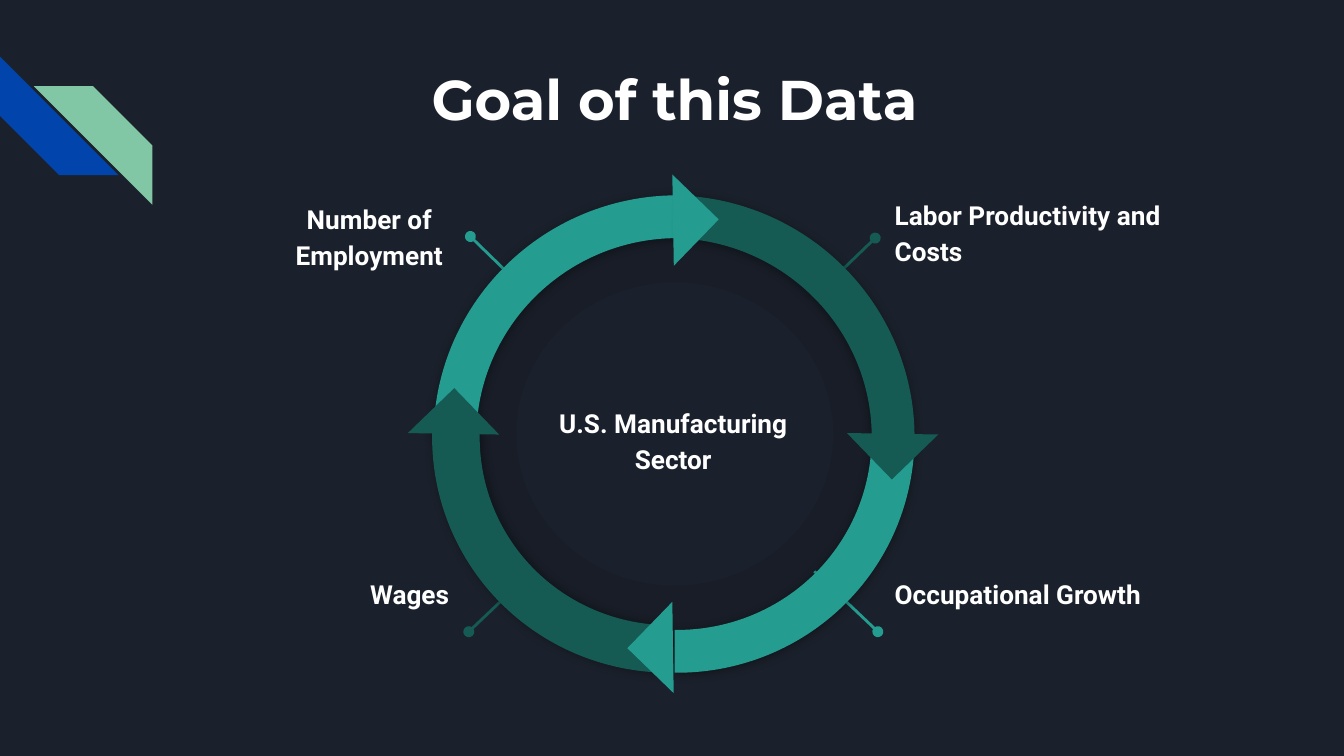
from dataclasses import dataclass
from typing import Any

import pptx
import pptx.dml.color
import pptx.enum.shapes
import pptx.enum.text
import pptx.oxml
import pptx.oxml.ns
import pptx.util

Cm = pptx.util.Cm
Pt = pptx.util.Pt
SHAPE = pptx.enum.shapes.MSO_SHAPE
ALIGN = pptx.enum.text.PP_ALIGN
ANCHOR = pptx.enum.text.MSO_ANCHOR
Box = tuple[float, float, float, float]
Point = tuple[float, float]


@dataclass(frozen=True)
class Theme:
    background: str = "1B212C"
    white: str = "FFFFFF"
    blue: str = "0145AC"
    mint: str = "82C7A5"
    light_teal: str = "249C90"
    dark_teal: str = "155B54"
    black: str = "000000"
    title_font: str = "Montserrat"
    body_font: str = "Roboto"
    title_size: int = 30
    body_size: int = 14


@dataclass(frozen=True)
class Callout:
    text: str
    box: Box
    align: Any
    dot: Point
    ring_end: Point
    color: str


@dataclass(frozen=True)
class Arc:
    left: float
    rotation: float
    start: float  # degrees
    end: float  # degrees
    thickness: float
    color: str
    flipped: bool = False
    shadow_angle: int = 90


@dataclass(frozen=True)
class Arrowhead:
    side: Point  # direction from the cycle's centre
    rotation: float
    color: str


THEME = Theme()
CYCLE_CENTER = (12.72, 8.2)
CYCLE_RADII = (4.15, 4.04)
ARROWHEAD_SIZE = 1.22
ARC_TOP, ARC_WIDTH, ARC_HEIGHT = 3.71, 9.12, 8.99

CALLOUTS = [
    Callout("Number of Employment", (4.34, 3.51, 5.28, 2.67), ALIGN.CENTER,
            (8.89, 4.47), (10.06, 5.61), THEME.light_teal),
    Callout("Wages", (1.32, 10.59, 7.42, 2.21), ALIGN.RIGHT,
            (8.86, 11.94), (10.06, 10.8), THEME.dark_teal),
    Callout("Occupational Growth", (16.66, 10.59, 8.05, 2.21), ALIGN.LEFT,
            (16.59, 11.94), (15.39, 10.8), THEME.light_teal),
    Callout("Labor Productivity and Costs", (16.66, 3.43, 5.94, 2.21), ALIGN.LEFT,
            (16.54, 4.5), (15.39, 5.61), THEME.dark_teal),
]
ARCS = [
    Arc(8.18, 330.7, 239.14, 331.21, 0.09, THEME.light_teal, flipped=True),
    Arc(8.18, 29.3, 242.43, 331.7, 0.09, THEME.dark_teal),
    Arc(8.15, 150.7, 300.7, 29.98, 0.1, THEME.dark_teal, shadow_angle=0),
    Arc(8.18, 209.3, 299.45, 25.49, 0.09, THEME.light_teal, flipped=True),
]
ARROWHEADS = [
    Arrowhead((-1, 0), 135.9, THEME.dark_teal),
    Arrowhead((1, 0), 315.9, THEME.dark_teal),
    Arrowhead((0, 1), 44.1, THEME.light_teal),
    Arrowhead((0, -1), 224.1, THEME.light_teal),
]


def rgb(color: str) -> Any:
    return pptx.dml.color.RGBColor.from_string(color)


def add_xml(parent: Any, tag: str, **attributes: str) -> Any:
    element = pptx.oxml.parse_xml(f"<{tag} {pptx.oxml.ns.nsdecls('a')}/>")
    for key, value in attributes.items():
        element.set(key, value)
    parent.append(element)
    return element


def find(element: Any, tag: str) -> Any:
    return element.find(f".//{pptx.oxml.ns.qn(tag)}")


def draw_shape(slide: Any, kind: Any, box: Box, color: str,
               rotation: float = 0, flipped: bool = False) -> Any:
    shape = slide.shapes.add_shape(kind, *map(Cm, box))
    shape.shadow.inherit = False
    shape.fill.solid()
    shape.fill.fore_color.rgb = rgb(color)
    shape.line.fill.background()
    shape.rotation = rotation
    if flipped:
        find(shape.element, "a:xfrm").set("flipH", "1")
    return shape


def draw_text(slide: Any, text: str, box: Box, align: Any, font: str, size: int,
              spacing: float = 1.0, anchor: Any = ANCHOR.TOP) -> None:
    frame = slide.shapes.add_textbox(*map(Cm, box)).text_frame
    frame.word_wrap = True
    frame.vertical_anchor = anchor
    frame.margin_left = frame.margin_right = Cm(0.25)
    frame.margin_top = frame.margin_bottom = Cm(0.25)
    paragraph = frame.paragraphs[0]
    paragraph.alignment = align
    paragraph.line_spacing = spacing
    run = paragraph.add_run()
    run.text = text
    run.font.name = font
    run.font.size = Pt(size)
    run.font.bold = True
    run.font.color.rgb = rgb(THEME.white)


def draw_callout(slide: Any, callout: Callout) -> None:
    leader = slide.shapes.add_connector(
        pptx.enum.shapes.MSO_CONNECTOR.STRAIGHT,
        *map(Cm, callout.dot + callout.ring_end))
    leader.line.color.rgb = rgb(callout.color)
    leader.line.width = Pt(1.5)
    add_xml(find(leader.element, "a:ln"), "a:headEnd", type="oval")
    add_xml(find(leader.element, "p:spPr"), "a:effectLst")
    draw_text(slide, callout.text, callout.box, callout.align,
              THEME.body_font, THEME.body_size, 1.15)


def draw_arc(slide: Any, arc: Arc) -> None:
    shape = draw_shape(slide, SHAPE.BLOCK_ARC, (arc.left, ARC_TOP, ARC_WIDTH, ARC_HEIGHT),
                       arc.color, arc.rotation, arc.flipped)
    # Angles are stored in 60000ths of a degree, adjustments in 100000ths
    shape.adjustments[0] = arc.start * 0.6
    shape.adjustments[1] = arc.end * 0.6
    shape.adjustments[2] = arc.thickness
    shadow = add_xml(find(shape.element, "a:effectLst"), "a:outerShdw",
                     blurRad=str(Pt(5.6)), dist=str(Pt(0.8)),
                     dir=str(arc.shadow_angle * 60000), rotWithShape="0")
    shade = add_xml(shadow, "a:srgbClr", val=THEME.black)
    add_xml(shade, "a:alpha", val="40000")


def draw_arrowhead(slide: Any, arrowhead: Arrowhead) -> None:
    left, top = (center + radius * way - ARROWHEAD_SIZE / 2 for center, radius, way
                 in zip(CYCLE_CENTER, CYCLE_RADII, arrowhead.side))
    draw_shape(slide, SHAPE.RIGHT_TRIANGLE, (left, top, ARROWHEAD_SIZE, ARROWHEAD_SIZE),
               arrowhead.color, arrowhead.rotation)


def main() -> None:
    presentation = pptx.Presentation()
    presentation.slide_width, presentation.slide_height = Cm(25.4), Cm(14.29)
    slide = presentation.slides.add_slide(presentation.slide_layouts[6])
    slide.background.fill.solid()
    slide.background.fill.fore_color.rgb = rgb(THEME.background)

    # Corner stripes
    draw_shape(slide, SHAPE.DIAGONAL_STRIPE, (0, 1.07, 2.24, 2.24), THEME.blue, rotation=270)
    draw_shape(slide, SHAPE.DIAGONAL_STRIPE, (0.64, 1.63, 2.24, 2.24), THEME.mint, flipped=True)

    # Shaded ring behind the cycle
    ring = draw_shape(slide, SHAPE.DONUT, (8.41, 3.99, 8.69, 8.43), THEME.black)
    ring.adjustments[0] = 0.16
    add_xml(find(ring.element, "a:srgbClr"), "a:alpha", val="11000")

    # Labels around and inside the cycle
    for callout in CALLOUTS:
        draw_callout(slide, callout)
    draw_text(slide, "U.S. Manufacturing Sector", (10.26, 6.96, 4.93, 2.67), ALIGN.CENTER,
              THEME.body_font, THEME.body_size, 1.15, ANCHOR.MIDDLE)

    # Cycle of four arrows
    for arc in ARCS:
        draw_arc(slide, arc)
    for arrowhead in ARROWHEADS:
        draw_arrowhead(slide, arrowhead)

    # Title
    draw_text(slide, "Goal of this Data", (2.97, 0.97, 19.56, 2.54), ALIGN.CENTER,
              THEME.title_font, THEME.title_size)
    presentation.save("out.pptx")


if __name__ == "__main__":
    main()
